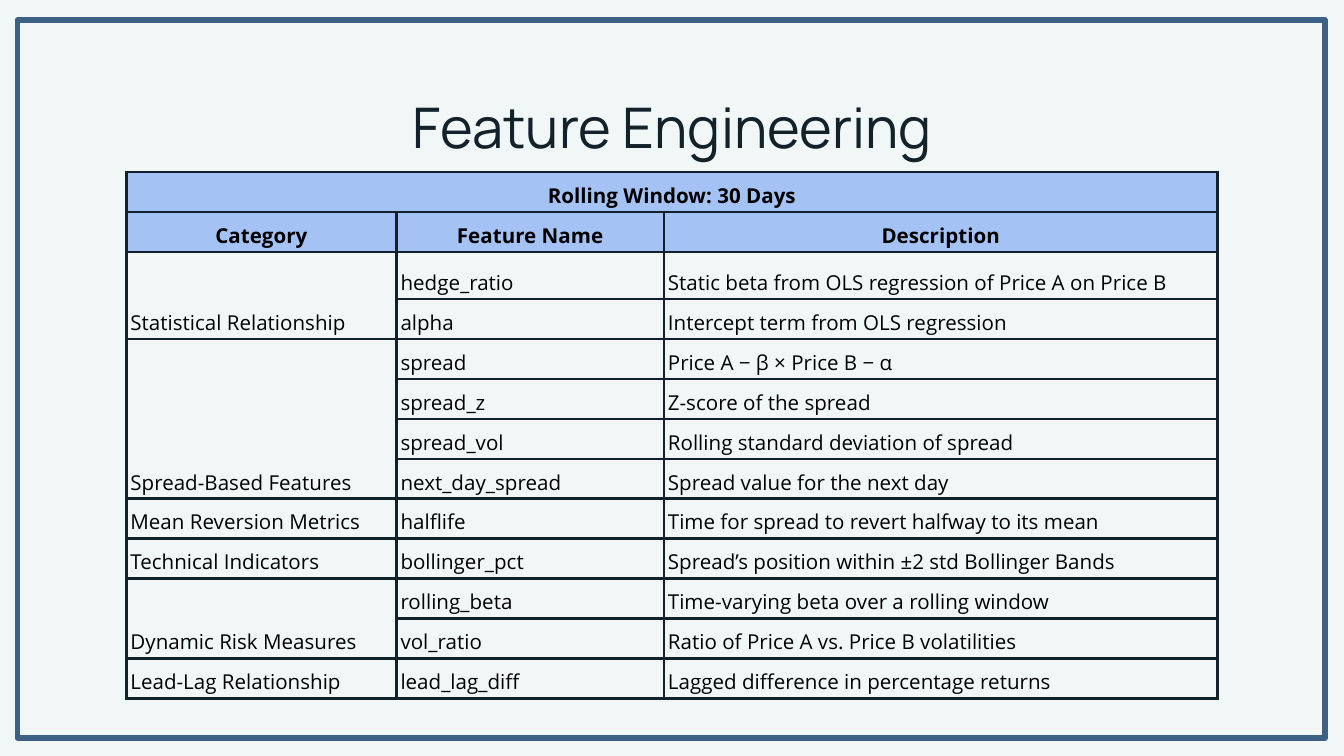
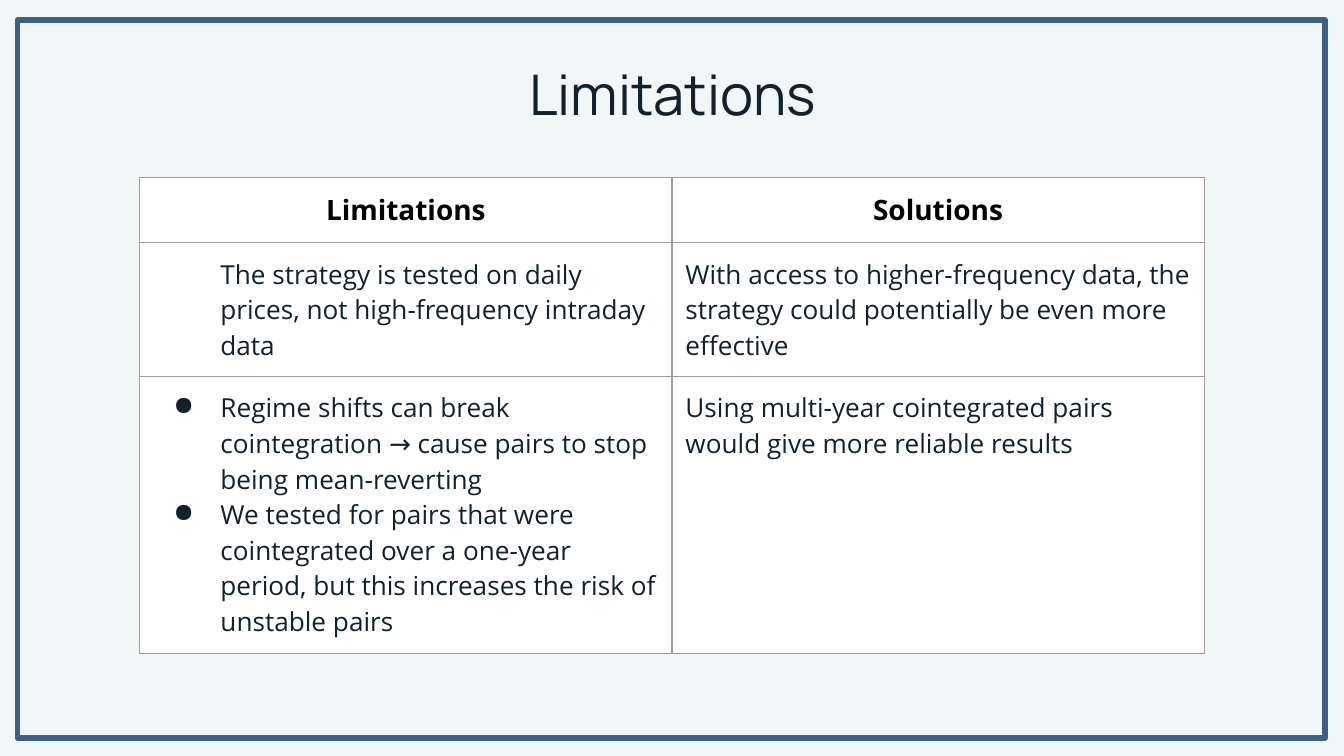
from dataclasses import dataclass
from typing import Any, Optional

import lxml.etree
import pptx
import pptx.dml.color
import pptx.enum.shapes
import pptx.enum.text
import pptx.oxml.ns
import pptx.util

Inches = pptx.util.Inches
Pt = pptx.util.Pt
RGBColor = pptx.dml.color.RGBColor
Anchor = pptx.enum.text.MSO_ANCHOR
Align = pptx.enum.text.PP_ALIGN
qn = pptx.oxml.ns.qn

MIST = RGBColor(0xF1, 0xF7, 0xF7)
STEEL = RGBColor(0x3C, 0x61, 0x85)
INK = RGBColor(0x12, 0x21, 0x2A)
BLACK = RGBColor(0, 0, 0)
WHITE = RGBColor(0xFF, 0xFF, 0xFF)
SKY = RGBColor(0xA4, 0xC2, 0xF4)
GREY = RGBColor(0x9E, 0x9E, 0x9E)

SLIDE_WIDTH = Inches(10)
SLIDE_HEIGHT = SLIDE_WIDTH * 9 // 16
TITLE_FONT = {"name": "Manrope", "size": Pt(30)}
BODY_FONT = "Open Sans"
SIDES = ("margin_left", "margin_right", "margin_top", "margin_bottom")
ROOMY = dict.fromkeys(SIDES, Inches(0.1))
TIGHT = dict(zip(SIDES, [Inches(0.03)] * 2 + [Inches(0.02)] * 2))


@dataclass(frozen=True)
class CellStyle:
    size: float
    color: RGBColor
    cell: dict[str, Any]
    paragraph: dict[str, Any]
    bold: bool = False
    fill: Optional[RGBColor] = None
    indent: float = 0
    bullet: str = ""


@dataclass(frozen=True)
class Grid:
    left: float
    top: float
    columns: list[float]
    rows: list[float]
    border: RGBColor
    border_width: float


@dataclass(frozen=True)
class FeatureGroup:
    category: str
    features: list[tuple[str, str]]


FEATURE_CELL = {**TIGHT, "vertical_anchor": Anchor.BOTTOM}
FEATURE_HEAD = CellStyle(
    11, BLACK, FEATURE_CELL, {"alignment": Align.CENTER, "line_spacing": 1.15}, True, SKY)
FEATURE_BODY = CellStyle(
    11, BLACK, FEATURE_CELL, {"alignment": Align.LEFT, "line_spacing": 1.15})
FEATURE_TABLE_HEIGHT = 3.92
FIRST_FEATURE_HEIGHT = 0.35
FEATURE_ROW_HEIGHT = (FEATURE_TABLE_HEIGHT - FIRST_FEATURE_HEIGHT) / 12

LIMIT_CELL = {**ROOMY, "vertical_anchor": Anchor.TOP}
LEFT = {"alignment": Align.LEFT}
LIMIT_HEAD = CellStyle(15, BLACK, LIMIT_CELL, {"alignment": Align.CENTER}, True, WHITE)
SOLUTION = CellStyle(14, INK, LIMIT_CELL, LEFT, fill=WHITE)
LIMIT_INDENTED = CellStyle(14, INK, LIMIT_CELL, LEFT, fill=WHITE, indent=0.5)
LIMIT_BULLETED = CellStyle(14, INK, LIMIT_CELL, LEFT, fill=WHITE, indent=0.5, bullet="●")

FEATURE_GROUPS = [
    FeatureGroup("Statistical Relationship", [
        ("hedge_ratio", "Static beta from OLS regression of Price A on Price B"),
        ("alpha", "Intercept term from OLS regression"),
    ]),
    FeatureGroup("Spread-Based Features", [
        ("spread", "Price A − β × Price B − α"),
        ("spread_z", "Z-score of the spread"),
        ("spread_vol", "Rolling standard deviation of spread"),
        ("next_day_spread", "Spread value for the next day"),
    ]),
    FeatureGroup("Mean Reversion Metrics", [
        ("halflife", "Time for spread to revert halfway to its mean"),
    ]),
    FeatureGroup("Technical Indicators", [
        ("bollinger_pct", "Spread’s position within ±2 std Bollinger Bands"),
    ]),
    FeatureGroup("Dynamic Risk Measures", [
        ("rolling_beta", "Time-varying beta over a rolling window"),
        ("vol_ratio", "Ratio of Price A vs. Price B volatilities"),
    ]),
    FeatureGroup("Lead-Lag Relationship", [
        ("lead_lag_diff", "Lagged difference in percentage returns"),
    ]),
]

LIMITATIONS = [
    (LIMIT_INDENTED,
     ["The strategy is tested on daily prices, not high-frequency intraday data"],
     "With access to higher-frequency data, the strategy could potentially be even more effective"),
    (LIMIT_BULLETED,
     ["Regime shifts can break cointegration → cause pairs to stop being mean-reverting",
      "We tested for pairs that were cointegrated over a one-year period, "
      "but this increases the risk of unstable pairs"],
     "Using multi-year cointegrated pairs would give more reliable results"),
]


def apply(target: Any, values: dict[str, Any]) -> None:
    for name, value in values.items():
        setattr(target, name, value)


def add_color(parent: Any, tag: str, color: RGBColor) -> None:
    holder = lxml.etree.SubElement(parent, qn(tag))
    lxml.etree.SubElement(holder, qn("a:srgbClr"), val=str(color))


def add_framed_slide(deck: Any, heading: str, title_top: float) -> Any:
    slide = deck.slides.add_slide(deck.slide_layouts[5])
    frame = slide.shapes.add_shape(
        pptx.enum.shapes.MSO_SHAPE.RECTANGLE,
        Inches(0.13), Inches(0.15), Inches(9.73), Inches(5.34))
    frame.shadow.inherit = False
    frame.fill.background()
    frame.line.color.rgb = STEEL
    frame.line.width = Pt(3)

    title = slide.shapes.title
    apply(title, {"left": Inches(0.79), "top": Inches(title_top),
                  "width": Inches(8.43), "height": Inches(0.63)})
    apply(title.text_frame, {**ROOMY, "text": heading, "word_wrap": True,
                             "vertical_anchor": Anchor.TOP,
                             "auto_size": pptx.enum.text.MSO_AUTO_SIZE.NONE})
    paragraph = title.text_frame.paragraphs[0]
    paragraph.alignment = Align.CENTER
    apply(paragraph.runs[0].font, TITLE_FONT)
    paragraph.runs[0].font.color.rgb = INK
    return slide


def add_grid(slide: Any, grid: Grid) -> Any:
    table = slide.shapes.add_table(
        len(grid.rows), len(grid.columns), Inches(grid.left), Inches(grid.top),
        Inches(sum(grid.columns)), Inches(sum(grid.rows))).table
    apply(table, {"first_row": False, "horz_banding": False})
    for column, width in zip(table.columns, grid.columns):
        column.width = Inches(width)
    for row, height in zip(table.rows, grid.rows):
        row.height = Inches(height)
    for cell in table.iter_cells():
        properties = cell._tc.get_or_add_tcPr()
        for side in ("a:lnL", "a:lnR", "a:lnT", "a:lnB"):
            edge = lxml.etree.SubElement(
                properties, qn(side), w=str(Pt(grid.border_width)))
            add_color(edge, "a:solidFill", grid.border)
        cell.fill.background()
    return table


def indent_paragraph(paragraph: Any, style: CellStyle) -> None:
    properties = paragraph._p.get_or_add_pPr()
    properties.set("marL", str(Inches(style.indent)))
    properties.set("indent", str(Inches(-0.35 if style.bullet else 0)))
    if style.bullet:
        add_color(properties, "a:buClr", style.color)
        lxml.etree.SubElement(properties, qn("a:buChar"), char=style.bullet)


def write_cell(cell: Any, lines: list[str], style: CellStyle) -> None:
    apply(cell, style.cell)
    if style.fill is not None:
        cell.fill.solid()
        cell.fill.fore_color.rgb = style.fill
    cell.text_frame.text = "\n".join(lines)
    for paragraph in cell.text_frame.paragraphs:
        apply(paragraph, style.paragraph)
        indent_paragraph(paragraph, style)
        font = paragraph.runs[0].font
        apply(font, {"name": BODY_FONT, "size": Pt(style.size), "bold": style.bold})
        font.color.rgb = style.color


def build_feature_slide(deck: Any) -> None:
    slide = add_framed_slide(deck, "Feature Engineering", 0.59)
    rows = [FEATURE_ROW_HEIGHT] * 13
    rows[2] = FIRST_FEATURE_HEIGHT
    table = add_grid(slide, Grid(0.94, 1.28, [2.01, 1.99, 4.12], rows, INK, 1.5))
    table.cell(0, 0).merge(table.cell(0, 2))
    write_cell(table.cell(0, 0), ["Rolling Window: 30 Days"], FEATURE_HEAD)
    for column, label in enumerate(("Category", "Feature Name", "Description")):
        write_cell(table.cell(1, column), [label], FEATURE_HEAD)
    row = 2
    for group in FEATURE_GROUPS:
        category = table.cell(row, 0)
        if len(group.features) > 1:
            category.merge(table.cell(row + len(group.features) - 1, 0))
        write_cell(category, [group.category], FEATURE_BODY)
        for feature, description in group.features:
            write_cell(table.cell(row, 1), [feature], FEATURE_BODY)
            write_cell(table.cell(row, 2), [description], FEATURE_BODY)
            row += 1


def build_limitations_slide(deck: Any) -> None:
    slide = add_framed_slide(deck, "Limitations", 0.34)
    table = add_grid(slide, Grid(1.04, 1.32, [3.96] * 2, [0.48, 0.99, 2.06], GREY, 0.75))
    for column, label in enumerate(("Limitations", "Solutions")):
        write_cell(table.cell(0, column), [label], LIMIT_HEAD)
    for row, (style, limits, solution) in enumerate(LIMITATIONS, start=1):
        write_cell(table.cell(row, 0), limits, style)
        write_cell(table.cell(row, 1), [solution], SOLUTION)


def main() -> None:
    deck = pptx.Presentation()
    apply(deck, {"slide_width": SLIDE_WIDTH, "slide_height": SLIDE_HEIGHT})
    backdrop = deck.slide_master.background.fill
    backdrop.solid()
    backdrop.fore_color.rgb = MIST
    build_feature_slide(deck)
    build_limitations_slide(deck)
    deck.save("out.pptx")


if __name__ == "__main__":
    main()
